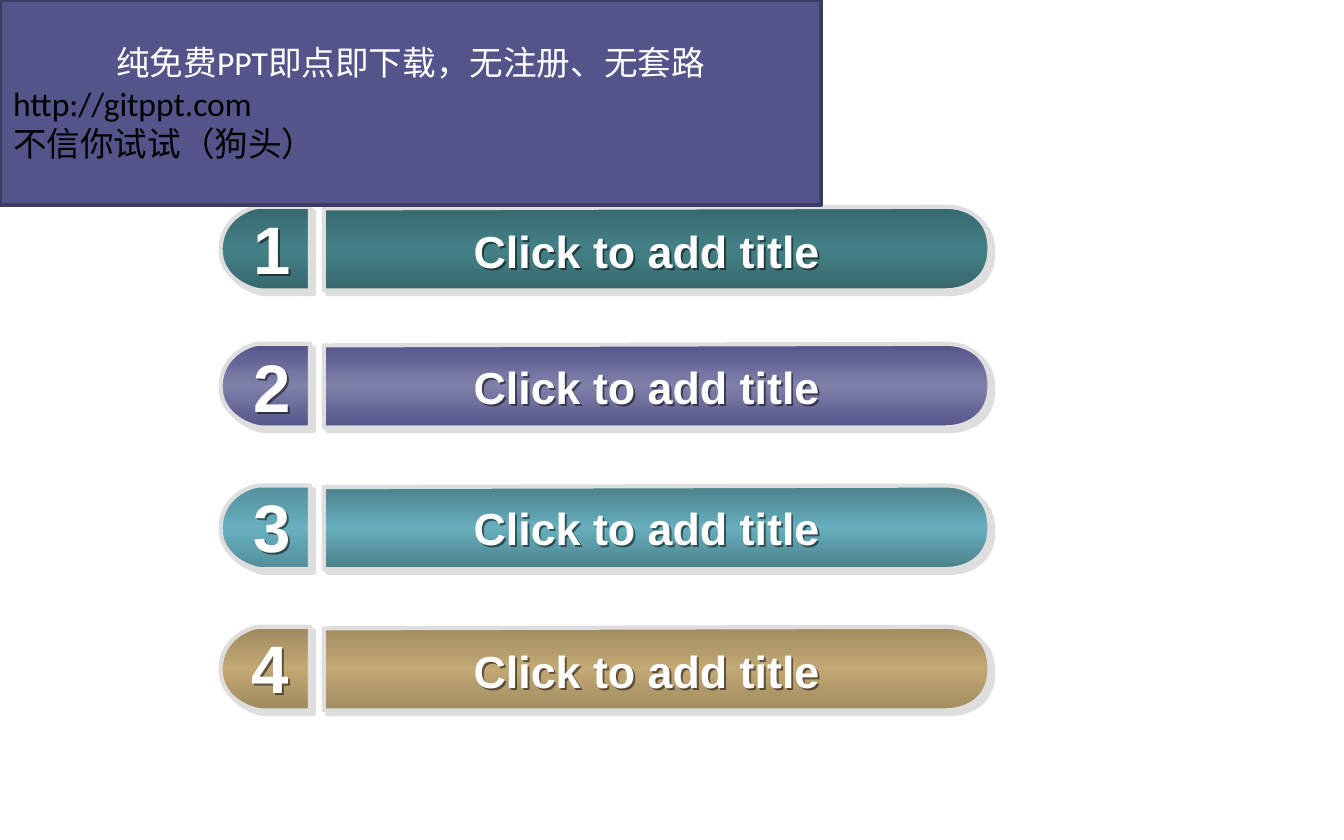
import copy

import lxml.etree
import pptx
import pptx.dml.color
import pptx.enum.shapes
import pptx.enum.text
import pptx.oxml.ns
import pptx.util

Cm, Pt = pptx.util.Cm, pptx.util.Pt
RGB = pptx.dml.color.RGBColor
ALIGN = pptx.enum.text.PP_ALIGN
qn = pptx.oxml.ns.qn

WHITE = RGB(0xFF, 0xFF, 0xFF)
BLACK = RGB(0x00, 0x00, 0x00)
GREY = RGB(0xDE, 0xDE, 0xDE)
PURPLE = RGB(0x53, 0x54, 0x8A)
EDGE = RGB(0x3B, 0x3B, 0x64)
LILAC = RGB(0x80, 0x81, 0xA9)
PINE = RGB(0x37, 0x69, 0x6E)
TEAL = RGB(0x43, 0x80, 0x86)
SEA = RGB(0x4B, 0x80, 0x8A)
MIST = RGB(0x54, 0x8F, 0x9B)
AQUA = RGB(0x67, 0xAF, 0xBD)
BROWN = RGB(0xA1, 0x8B, 0x60)
OLIVE = RGB(0x9F, 0x8A, 0x5F)
SAND = RGB(0xC2, 0xA8, 0x74)

# Row: top, number left, number top, title top (cm), bar rim, knob rim, middle
ROWS = [
    (3.91, 4.55, 3.8, 4.1, PINE, PINE, TEAL),
    (6.5, 4.55, 6.4, 6.67, PURPLE, PURPLE, LILAC),
    (9.18, 4.55, 9.05, 9.35, SEA, MIST, AQUA),
    (11.85, 4.51, 11.71, 12.04, BROWN, OLIVE, SAND),
]

# Outlines in cm below the row top: three corners, then two Bezier curves
BAR = ([(6.12, 0.03), (6.12, 1.58), (17.88, 1.58)],
       [[(18.19, 1.58), (18.7, 1.42), (18.7, 0.81)],
        [(18.72, 0.2), (18.26, 0), (17.88, 0)]])
KNOB = ([(5.86, 0), (5.86, 1.58), (4.93, 1.58)],
        [[(4.8, 1.58), (4.17, 1.39), (4.17, 0.81)],
         [(4.17, 0.2), (4.75, 0), (4.9, 0)]])

TITLE = {"name": "Arial", "size": Pt(24), "bold": True}
NUMBER = {"name": "Arial", "size": Pt(36), "bold": True}
NOTE = {"name": "Calibri", "size": Pt(18)}
LINES = [
    ("纯免费PPT即点即下载，无注册、无套路", WHITE, ALIGN.CENTER),
    ("http://gitppt.com", BLACK, ALIGN.LEFT),
    ("不信你试试（狗头）", BLACK, ALIGN.LEFT),
]


def style(font, values, color):
    for key, value in values.items():
        setattr(font, key, value)
    font.color.rgb = color


def add_shadow(shape, color, dist, alpha):
    """Add one hard shadow to the lower right."""
    effect = lxml.etree.SubElement(shape._element.spPr, qn("a:effectLst"))
    outer = lxml.etree.SubElement(effect, qn("a:outerShdw"), dist=str(Pt(dist)),
                                  dir="2700000", algn="ctr", rotWithShape="0")
    tint = lxml.etree.SubElement(outer, qn("a:srgbClr"), val=str(color))
    lxml.etree.SubElement(tint, qn("a:alpha"), val=str(alpha * 1000))


def bend(shape, curves):
    """Turn the last lines of the outline into Bezier curves."""
    lines = list(shape._element.spPr.iter(qn("a:lnTo")))[-len(curves):]
    for line, curve in zip(lines, curves):
        arc = lxml.etree.Element(qn("a:cubicBezTo"))
        for x, y in curve:
            lxml.etree.SubElement(arc, qn("a:pt"), x=str(x - shape.left),
                                  y=str(y - shape.top))
        line.getparent().replace(line, arc)


def paint(shape, rim, middle):
    """Fill from rim to middle and back to rim, top to bottom."""
    shape.fill.gradient()
    shape.fill.gradient_angle = 270
    for stop, color, place in zip(shape.fill.gradient_stops, (rim, middle), (0, 0.5)):
        stop.color.rgb = color
        stop.position = place
    stops = next(shape._element.spPr.iter(qn("a:gsLst")))
    last = copy.deepcopy(stops[0])
    last.set("pos", "100000")
    stops.append(last)


def add_piece(slide, outline, top, rim, middle):
    corners, *curves = [[(Cm(x), Cm(top + y)) for x, y in part]
                        for part in (outline[0], *outline[1])]
    builder = slide.shapes.build_freeform(*corners[0])
    builder.add_line_segments(corners[1:] + [curve[-1] for curve in curves], close=True)
    shape = builder.convert_to_shape()
    bend(shape, curves)
    paint(shape, rim, middle)
    shape.line.color.rgb = GREY
    shape.line.width = Pt(2.25)
    add_shadow(shape, GREY, 2.8, 100)


def add_label(slide, text, place, values):
    box = slide.shapes.add_textbox(*[Cm(n) for n in place])
    box.text_frame.word_wrap = True
    para = box.text_frame.paragraphs[0]
    para.alignment = ALIGN.CENTER
    run = para.add_run()
    run.text = text
    style(run.font, values, WHITE)
    add_shadow(box, BLACK, 1.5, 50)


def add_banner(slide):
    kind = pptx.enum.shapes.MSO_SHAPE.RECTANGLE
    shape = slide.shapes.add_shape(kind, 0, 0, Cm(15.52), Cm(3.88))
    shape.shadow.inherit = False
    shape.fill.solid()
    shape.fill.fore_color.rgb = PURPLE
    shape.line.color.rgb = EDGE
    shape.line.width = Pt(2)
    frame = shape.text_frame
    frame.vertical_anchor = pptx.enum.text.MSO_ANCHOR.MIDDLE
    for i, (text, color, align) in enumerate(LINES):
        para = frame.add_paragraph() if i else frame.paragraphs[0]
        para.alignment = align
        run = para.add_run()
        run.text = text
        style(run.font, NOTE, color)


def main():
    deck = pptx.Presentation()
    deck.slide_width, deck.slide_height = Cm(25.4), Cm(15.88)
    slide = deck.slides.add_slide(deck.slide_layouts[6])

    # Numbered rows
    for i, (top, left, num_top, text_top, rim, knob_rim, middle) in enumerate(ROWS, 1):
        add_piece(slide, BAR, top, rim, middle)
        add_piece(slide, KNOB, top, knob_rim, middle)
        add_label(slide, "Click to add title", (7.24, text_top, 9.96, 1.27), TITLE)
        add_label(slide, str(i), (left, num_top, 0.84, 1.78), NUMBER)

    # Banner over the top edge of the first row
    add_banner(slide)
    deck.save("out.pptx")


if __name__ == "__main__":
    main()
